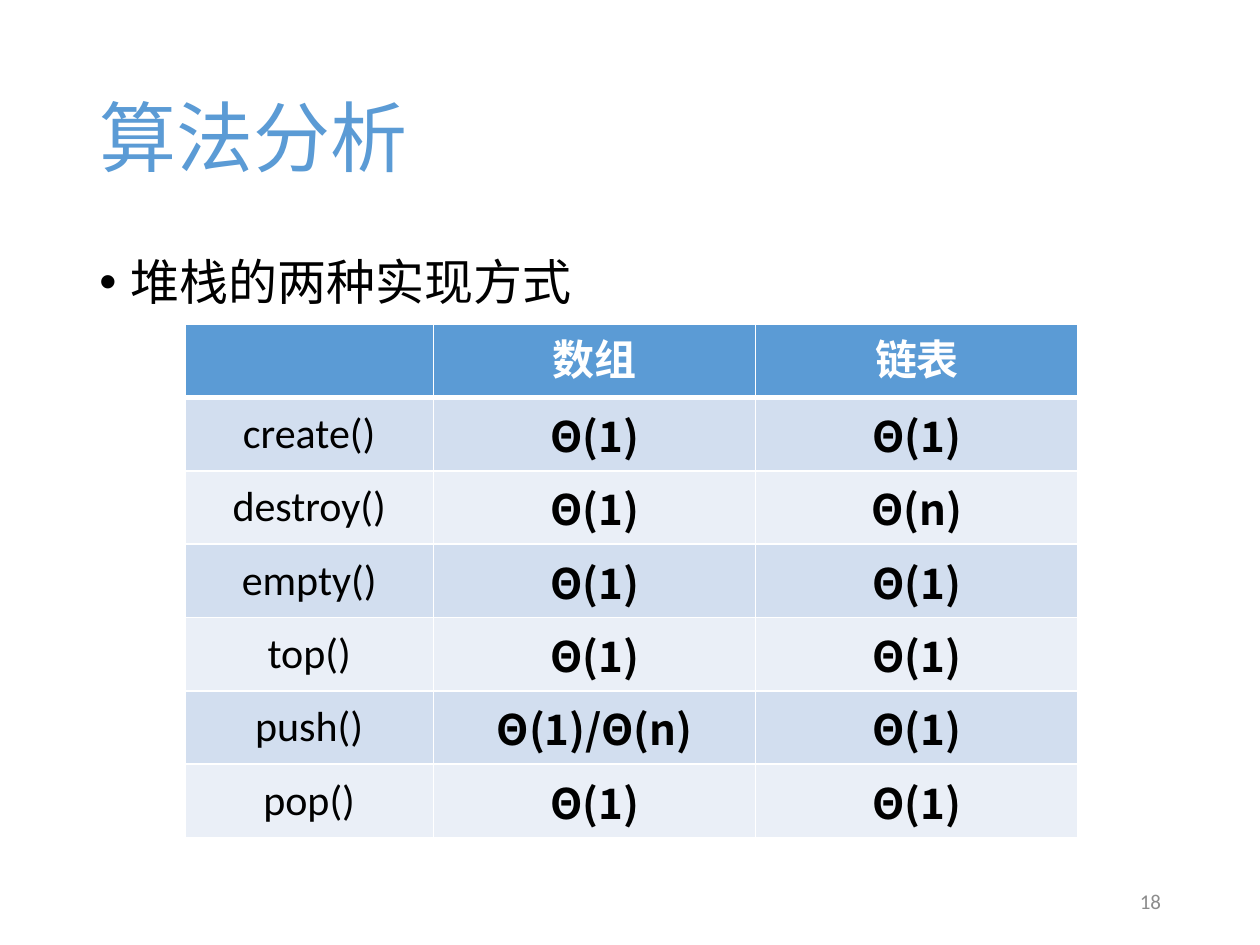
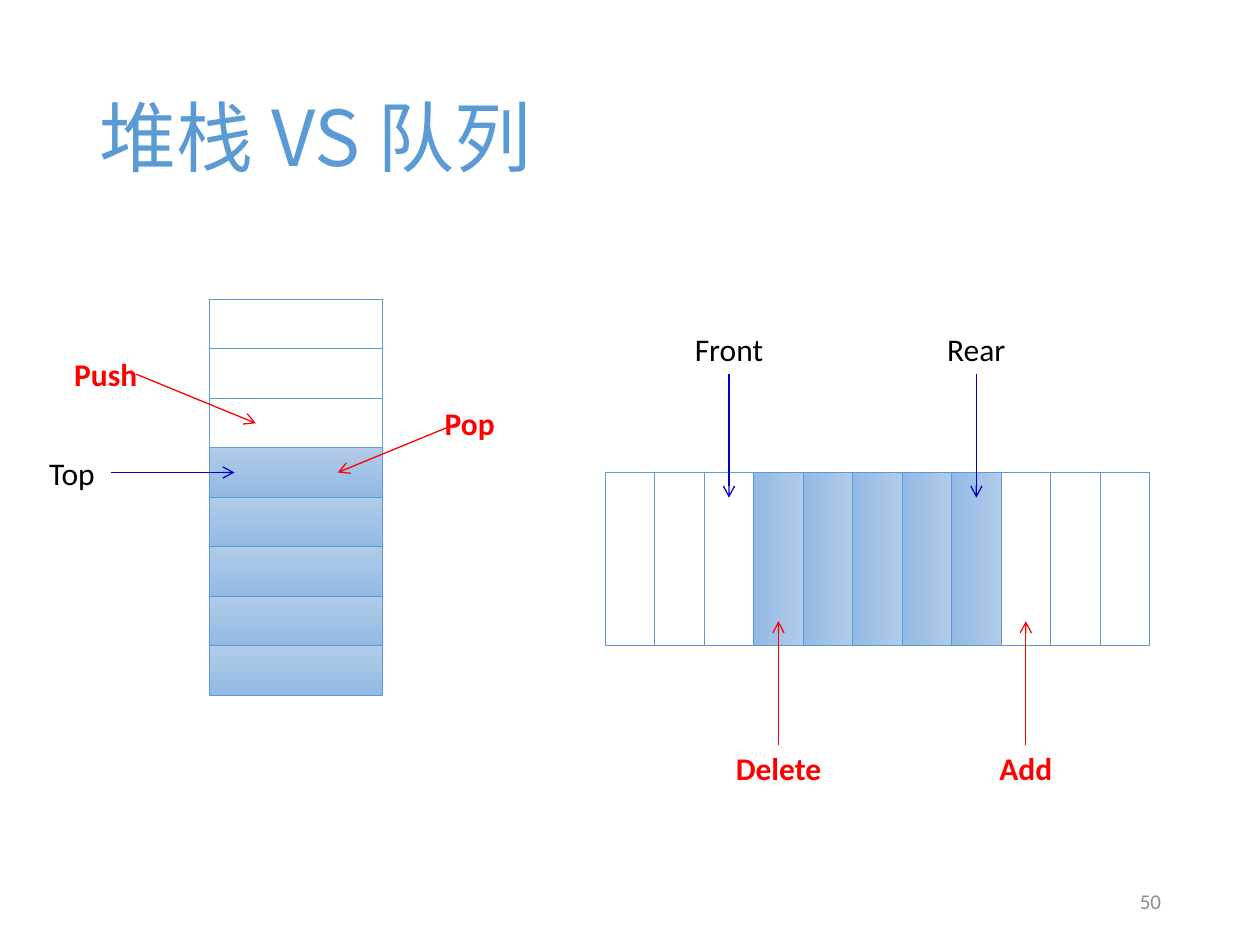
"""Build two slides on the cost and the shape of stacks and queues."""
from dataclasses import dataclass

from lxml.etree import SubElement
from pptx import Presentation
from pptx.dml.color import RGBColor
from pptx.enum.shapes import MSO_CONNECTOR, MSO_SHAPE
from pptx.enum.text import MSO_ANCHOR, MSO_AUTO_SIZE, PP_ALIGN
from pptx.oxml.ns import qn
from pptx.util import Pt


@dataclass(frozen=True)
class Theme:
    """Colours, fonts and type sizes shared by the slides."""
    accent: str = "5B9BD5"
    ink: str = "000000"
    paper: str = "FFFFFF"
    muted: str = "8C8C8C"
    band_dark: str = "D2DEEF"
    band_light: str = "EAEFF7"
    used_top: str = "B1CBE9"
    used_bottom: str = "93B9E4"
    pointer: str = "0000CC"
    action: str = "FF0000"
    latin: str = "Calibri"
    cjk: str = "Noto Sans CJK SC"
    title_size: float = 44
    body_size: float = 28
    table_size: float = 24
    label_size: float = 18
    number_size: float = 12


THEME = Theme()
CELL_DEPTH = 28.27
CELL_LENGTH = 98.9
STACK_LEFT, STACK_TOP = 119.5, 171.1
QUEUE_LEFT, QUEUE_TOP = 345.9, 270
ROW_HEIGHT = 41.9


def rgb(code):
    """Turn a hex code into a colour."""
    return RGBColor.from_string(code)


def style(paragraph, size, colour, face=THEME.latin, bold=False, align=PP_ALIGN.LEFT):
    """Set the alignment and the font of a whole paragraph."""
    paragraph.alignment = align
    font = paragraph.font
    font.size, font.bold, font.name = Pt(size), bold, face
    font.color.rgb = rgb(colour)
    defaults = paragraph._p.get_or_add_pPr().find(qn("a:defRPr"))
    SubElement(defaults, qn("a:ea"), typeface=face)


def add_text_frame(slide, left, top, width, height, anchor=MSO_ANCHOR.TOP):
    """Add a wrapping text box and return its text frame."""
    frame = slide.shapes.add_textbox(Pt(left), Pt(top), Pt(width), Pt(height)).text_frame
    frame.word_wrap = True
    frame.vertical_anchor = anchor
    return frame


def add_slide(deck, title, number):
    """Add a blank slide with its title and page number."""
    slide = deck.slides.add_slide(deck.slide_layouts[6])
    heading = add_text_frame(slide, 50, 28.8, 621, 104.4, MSO_ANCHOR.MIDDLE).paragraphs[0]
    heading.text = title
    heading.line_spacing = 0.9
    style(heading, THEME.title_size, THEME.accent, THEME.cjk)
    page = add_text_frame(slide, 508.5, 500.5, 162, 28.8, MSO_ANCHOR.MIDDLE).paragraphs[0]
    page.text = number
    style(page, THEME.number_size, THEME.muted, align=PP_ALIGN.RIGHT)
    return slide


def add_bullet(slide, statement):
    """Add the body text as one bulleted paragraph."""
    paragraph = add_text_frame(slide, 49.7, 144, 621, 342.7).paragraphs[0]
    paragraph.text = statement
    properties = paragraph._p.get_or_add_pPr()
    properties.set("marL", str(Pt(18)))
    properties.set("indent", str(Pt(-18)))
    SubElement(properties, qn("a:buFont"), typeface="Arial")
    SubElement(properties, qn("a:buChar"), char="•")
    paragraph.line_spacing = 0.9
    paragraph.space_before = Pt(10)
    style(paragraph, THEME.body_size, THEME.ink, THEME.cjk)


def set_borders(cell, bottom_width):
    """Draw white borders around a table cell."""
    properties = cell._tc.get_or_add_tcPr()
    widths = {"a:lnL": 1, "a:lnR": 1, "a:lnT": 1, "a:lnB": bottom_width}
    for side, width in widths.items():
        border = SubElement(properties, qn(side), w=str(Pt(width)))
        fill = SubElement(border, qn("a:solidFill"))
        SubElement(fill, qn("a:srgbClr"), val=THEME.paper)


def add_cost_table(slide, rows):
    """Add the table of operation costs."""
    widths = (141.8, 184.3, 184.3)
    table = slide.shapes.add_table(
        len(rows), len(widths), Pt(105.8), Pt(185.3),
        Pt(sum(widths)), Pt(ROW_HEIGHT * len(rows))).table
    for column, width in zip(table.columns, widths):
        column.width = Pt(width)
    for row_index, row in enumerate(rows):
        header = row_index == 0
        band = THEME.band_dark if row_index % 2 else THEME.band_light
        for column_index, entry in enumerate(row):
            cost = not header and column_index > 0
            cell = table.cell(row_index, column_index)
            cell.text = entry
            cell.vertical_anchor = MSO_ANCHOR.MIDDLE
            set_borders(cell, 3 if header else 1)
            cell.fill.solid()
            cell.fill.fore_color.rgb = rgb(THEME.accent if header else band)
            style(cell.text_frame.paragraphs[0], THEME.table_size,
                  THEME.paper if header else THEME.ink,
                  THEME.cjk if cost else THEME.latin, header or cost, PP_ALIGN.CENTER)


def add_memory_cell(slide, left, top, used, rotation=0):
    """Add one storage cell, shaded when it is in use."""
    cell = slide.shapes.add_shape(
        MSO_SHAPE.RECTANGLE, Pt(left), Pt(top), Pt(CELL_LENGTH), Pt(CELL_DEPTH))
    cell.rotation = rotation
    cell.shadow.inherit = False
    cell.line.color.rgb = rgb(THEME.accent)
    cell.line.width = Pt(0.5)
    if not used:
        cell.fill.background()
        return
    cell.fill.gradient()
    cell.fill.gradient_angle = 270
    for stop, colour in zip(cell.fill.gradient_stops, (THEME.used_top, THEME.used_bottom)):
        stop.color.rgb = rgb(colour)


def add_stack(slide):
    """Draw the stack from the bottom up, with five cells in use."""
    for level in reversed(range(8)):
        add_memory_cell(slide, STACK_LEFT, STACK_TOP + level * CELL_DEPTH, level >= 3)


def add_queue(slide):
    """Draw the queue as upright cells, with five in the middle in use."""
    turn_shift = (CELL_LENGTH - CELL_DEPTH) / 2
    for position in range(11):
        left = QUEUE_LEFT + position * CELL_DEPTH - turn_shift
        add_memory_cell(slide, left, QUEUE_TOP + turn_shift, 3 <= position <= 7, 90)


def add_arrow(slide, start, end, colour):
    """Add a thin line with an open arrowhead at its end."""
    arrow = slide.shapes.add_connector(
        MSO_CONNECTOR.STRAIGHT, *(Pt(length) for length in (*start, *end)))
    arrow.line.color.rgb = rgb(colour)
    arrow.line.width = Pt(0.75)
    SubElement(arrow.line._get_or_add_ln(), qn("a:tailEnd"), type="arrow")
    SubElement(arrow._element.spPr, qn("a:effectLst"))


def add_label(slide, label, left, top, width, action, align):
    """Add the name of a pointer or, in bold, of an action."""
    frame = add_text_frame(slide, left, top, width, 29)
    frame.auto_size = MSO_AUTO_SIZE.SHAPE_TO_FIT_TEXT
    paragraph = frame.paragraphs[0]
    paragraph.text = label
    style(paragraph, THEME.label_size, THEME.action if action else THEME.ink,
          bold=action, align=align)


def add_stack_marks(slide):
    """Name the top of the stack and the actions on it."""
    marks = (
        ("Top", 21, 255.6, 56, (63.4, 270), (134, 270), False),
        ("Push", 35.3, 199.4, 68.4, (77.8, 213.8), (146.2, 241.9), True),
        ("Pop", 247, 227.5, 56, (261.4, 241.9), (193, 270), True),
    )
    for label, left, top, width, start, end, action in marks:
        add_arrow(slide, start, end, THEME.action if action else THEME.pointer)
        add_label(slide, label, left, top, width, action, PP_ALIGN.LEFT)


def add_queue_marks(slide):
    """Name the ends of the queue above and the actions below."""
    marks = (("Front", 2, False), ("Rear", 7, False), ("Delete", 3, True), ("Add", 8, True))
    for label, position, action in marks:
        centre = QUEUE_LEFT + (position + 0.5) * CELL_DEPTH
        start, end, top, width = (425.5, 355, 424.5, 85) if action else (213.8, 284.4, 185, 56)
        add_arrow(slide, (centre, start), (centre, end),
                  THEME.action if action else THEME.pointer)
        add_label(slide, label, centre - width / 2, top, width, action, PP_ALIGN.CENTER)


def main():
    """Build and save the presentation."""
    deck = Presentation()
    deck.slide_width, deck.slide_height = Pt(720), Pt(540)

    analysis = add_slide(deck, "算法分析", "18")
    add_bullet(analysis, "堆栈的两种实现方式")
    add_cost_table(analysis, (
        ("", "数组", "链表"),
        ("create()", "Θ(1)", "Θ(1)"),
        ("destroy()", "Θ(1)", "Θ(n)"),
        ("empty()", "Θ(1)", "Θ(1)"),
        ("top()", "Θ(1)", "Θ(1)"),
        ("push()", "Θ(1)/Θ(n)", "Θ(1)"),
        ("pop()", "Θ(1)", "Θ(1)"),
    ))

    comparison = add_slide(deck, "堆栈 VS 队列", "50")
    add_stack(comparison)
    add_stack_marks(comparison)
    add_queue(comparison)
    add_queue_marks(comparison)

    deck.save("out.pptx")


main()
